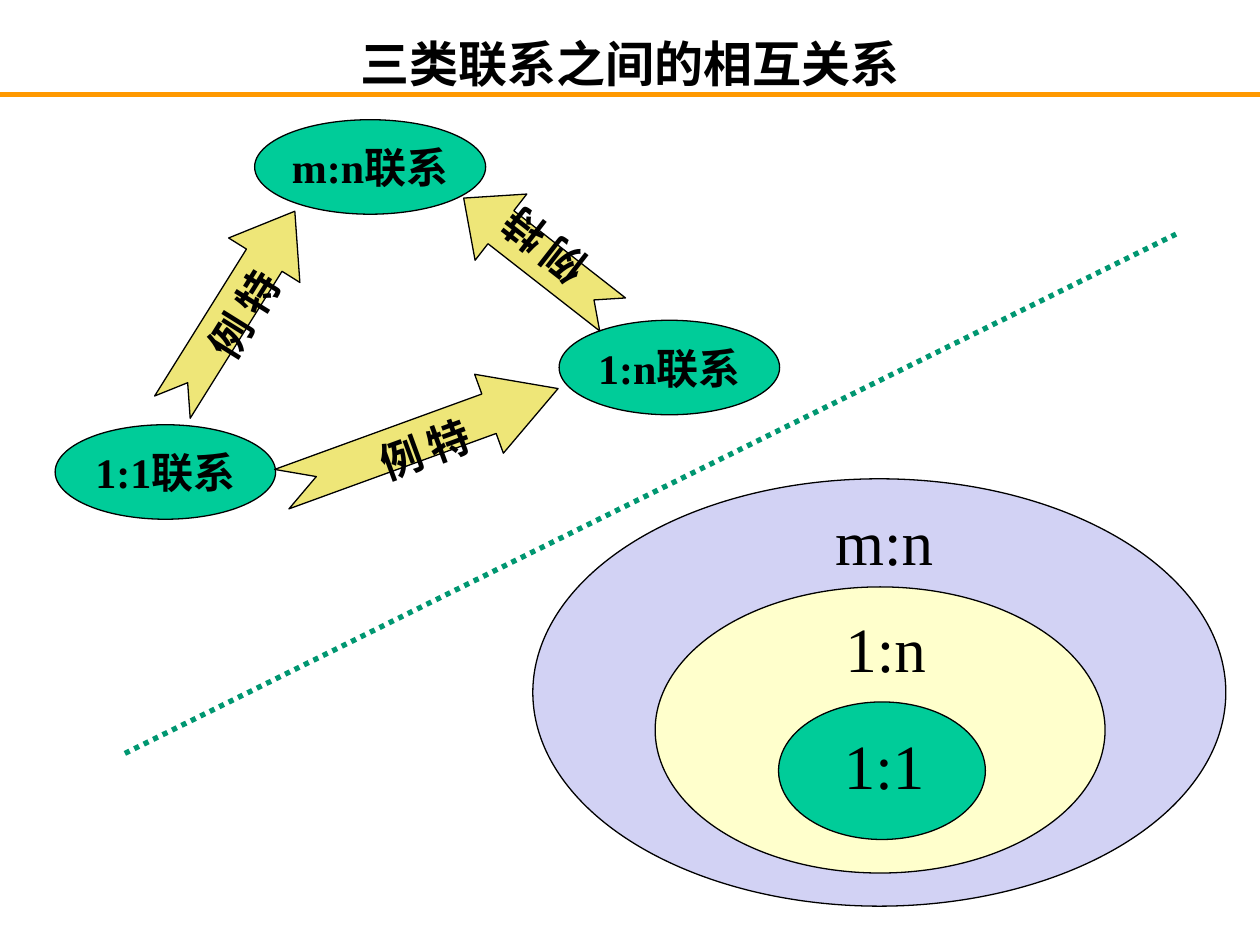
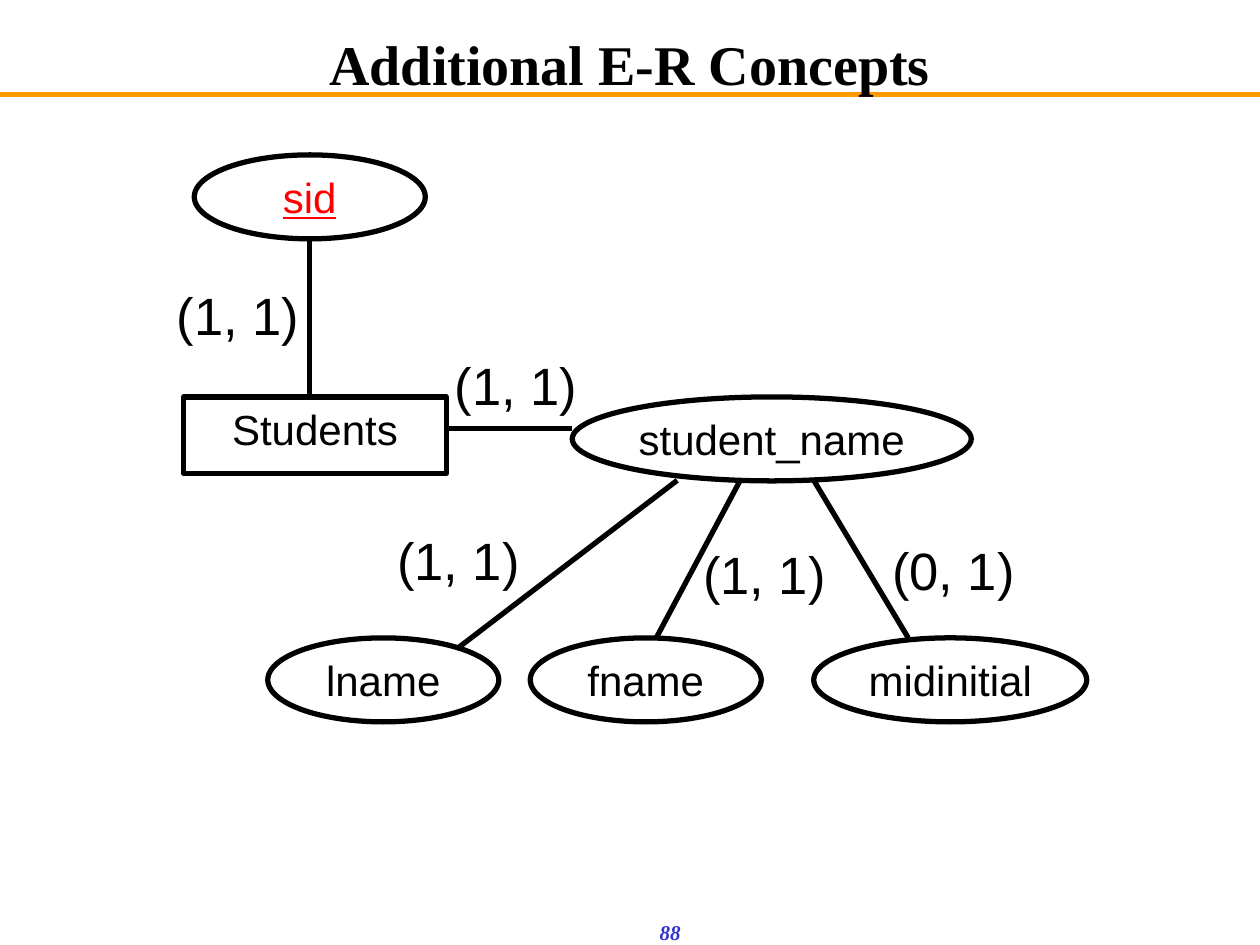
"""Build two slides on relationship types and E-R concepts."""
from pptx import Presentation
from pptx.dml.color import RGBColor
from pptx.enum.dml import MSO_LINE
from pptx.enum.shapes import MSO_CONNECTOR, MSO_SHAPE
from pptx.enum.text import MSO_ANCHOR, MSO_AUTO_SIZE, PP_ALIGN
from pptx.oxml.ns import qn
from pptx.util import Inches, Pt
from lxml import etree

OVAL, RECT, ARROW = MSO_SHAPE.OVAL, MSO_SHAPE.RECTANGLE, MSO_SHAPE.NOTCHED_RIGHT_ARROW
TOP, MID = MSO_ANCHOR.TOP, MSO_ANCHOR.MIDDLE
CENTER, RIGHT = PP_ALIGN.CENTER, PP_ALIGN.RIGHT
FIXED, GROW = MSO_AUTO_SIZE.NONE, MSO_AUTO_SIZE.SHAPE_TO_FIT_TEXT
STRAIGHT, DOTS = MSO_CONNECTOR.STRAIGHT, MSO_LINE.ROUND_DOT


class Theme:
    ink, rule, dots, page, key = "000000", "FF9900", "009771", "3333CC", "FF0000"
    green, gold, lilac, cream = "00CC99", "EEE678", "D2D2F4", "FFFFCC"
    thin, thick = 0.75, 3
    serif = {"name": "Times New Roman", "size": Pt(24), "bold": True}
    sans = {"name": "Arial", "size": Pt(24)}
    head = serif | {"size": Pt(28)}
    ring = {"name": "Times New Roman", "size": Pt(36)}
    card = sans | {"size": Pt(30)}
    foot = serif | {"size": Pt(12), "italic": True}


deck = Presentation()
deck.slide_width, deck.slide_height = Inches(10), Inches(7.5)
COLS, ROWS = 240, 180
col, row = deck.slide_width / COLS, deck.slide_height / ROWS


def put(slide, kind, box, text, font, color=Theme.ink, fill=None, line=Theme.thin,
        align=CENTER, anchor=MID, wrap=False, fit=FIXED, lead=False):
    """Add a shape, or a text box when kind is None, with its text."""
    x, y, w, h = box
    place = [int(n) for n in (x * col, y * row, w * col, h * row)]
    if kind is None:
        shape = slide.shapes.add_textbox(*place)
    else:
        shape = slide.shapes.add_shape(kind, *place)
        shape.shadow.inherit = False
        shape.line.color.rgb = RGBColor.from_string(Theme.ink)
        shape.line.width = Pt(line)
        if fill:
            shape.fill.solid()
            shape.fill.fore_color.rgb = RGBColor.from_string(fill)
        else:
            shape.fill.background()
    frame = shape.text_frame
    frame.text = text
    for name, value in {"word_wrap": wrap, "auto_size": fit, "vertical_anchor": anchor}.items():
        setattr(frame, name, value)
    for para in frame.paragraphs:
        para.alignment = align
        if lead:
            space = etree.SubElement(para._p.get_or_add_pPr(), qn("a:spcBef"))
            etree.SubElement(space, qn("a:spcPct"), val="50000")
        for run in para.runs:
            run.font.color.rgb = RGBColor.from_string(color)
            for name, value in font.items():
                setattr(run.font, name, value)
    return shape


def link(slide, x, y, x2, y2, color=Theme.ink):
    """Add a thick straight line between two grid points."""
    ends = [int(n) for n in (x * col, y * row, x2 * col, y2 * row)]
    wire = slide.shapes.add_connector(STRAIGHT, *ends)
    wire.line.color.rgb = RGBColor.from_string(color)
    wire.line.width = Pt(Theme.thick)
    etree.SubElement(wire._element.spPr, qn("a:effectLst"))
    return wire


base = deck.slide_layouts[5]
head = base.placeholders[0]
for name, value in {"left": 18 * col, "top": 6 * row, "width": 204 * col, "height": 12 * row}.items():
    setattr(head, name, int(value))

pages = []
for text, size in (("三类联系之间的相互关系", 28), ("Additional E-R Concepts", 32)):
    page = deck.slides.add_slide(base)
    frame = page.shapes.title.text_frame
    frame.text = text
    for name, value in {"margin_top": 0, "margin_bottom": 0, "vertical_anchor": MID,
                        "auto_size": FIXED, "word_wrap": True}.items():
        setattr(frame, name, value)
    para = frame.paragraphs[0]
    para.alignment = CENTER
    font = para.runs[0].font
    font.color.rgb = RGBColor.from_string(Theme.ink)
    for name, value in (Theme.head | {"size": Pt(size)}).items():
        setattr(font, name, value)
    pages.append(page)
kinds, model = pages

rule = link(kinds, 0, 18, COLS, 18, Theme.rule)
deck.slide_master.shapes._spTree.append(rule._element)

for x, y, w, text in ((48.5, 22.8, 44, "m:n联系"), (10.5, 80.9, 42, "1:1联系"),
                      (106.5, 61, 42, "1:n联系")):
    put(kinds, OVAL, (x, y, w, 18), text, Theme.serif, fill=Theme.green)

for x, y, w, turn in ((22.5, 50.9, 44, 302), (52, 75.6, 56, 340), (84.5, 40.8, 36, 218)):
    arrow = put(kinds, ARROW, (x, y, w, 16), "特\n例", Theme.serif, fill=Theme.gold)
    arrow.rotation = turn
    arrow.adjustments[1] = w / 16 / 4
    arrow.text_frame._txBody.bodyPr.set("vert", "eaVert")

for box, fill, label, text in (
        ((101.5, 91.2, 132, 81.4), Theme.lilac, (152.4, 94.6, 32, 16.8), "m:n"),
        ((124.8, 111.8, 85.7, 54.5), Theme.cream, (154.3, 115, 28.8, 16.8), "1:n"),
        ((148.3, 133.7, 39.4, 26.2), Theme.green, (152.4, 137.3, 32, 16.8), "1:1")):
    put(kinds, OVAL, box, "", Theme.ring, fill=fill)
    put(kinds, None, label, text, Theme.ring, anchor=TOP, wrap=True, fit=GROW, lead=True)

link(kinds, 23.8, 143.5, 224, 44.6, Theme.dots).line.dash_style = DOTS

put(model, None, (0, 174, 132, 6), "88", Theme.foot, Theme.page,
    align=RIGHT, anchor=TOP, wrap=True)
put(model, RECT, (35, 75.6, 50, 14.6), "Students", Theme.sans, line=Theme.thick,
    anchor=TOP, wrap=True, fit=GROW, lead=True)
put(model, OVAL, (37, 29.5, 44, 16), "sid", Theme.sans | {"underline": True}, Theme.key,
    line=Theme.thick)
for x, y, w, text in ((109, 75.6, 76, "student_name"), (51, 121.5, 44, "lname"),
                      (101, 121.5, 44, "fname"), (155, 121.5, 52, "midinitial")):
    put(model, OVAL, (x, y, w, 16), text, Theme.sans, line=Theme.thick)

for ends in ((59, 45.6, 59, 75.6), (109, 81.6, 85, 81.6), (129, 91.5, 87, 123.6),
             (141, 91.5, 125, 121.5), (155, 91.5, 173, 121.5)):
    link(model, *ends)

for x, y, text in ((29.3, 52.8, "(1, 1)"), (82.3, 66, "(1, 1)"), (71.3, 99.4, "(1, 1)"),
                   (129.6, 102, "(1, 1)"), (165.6, 101.3, "(0, 1)")):
    put(model, None, (x, y, 32, 14.6), text, Theme.card, anchor=TOP, wrap=True, fit=GROW)

deck.save("out.pptx")
